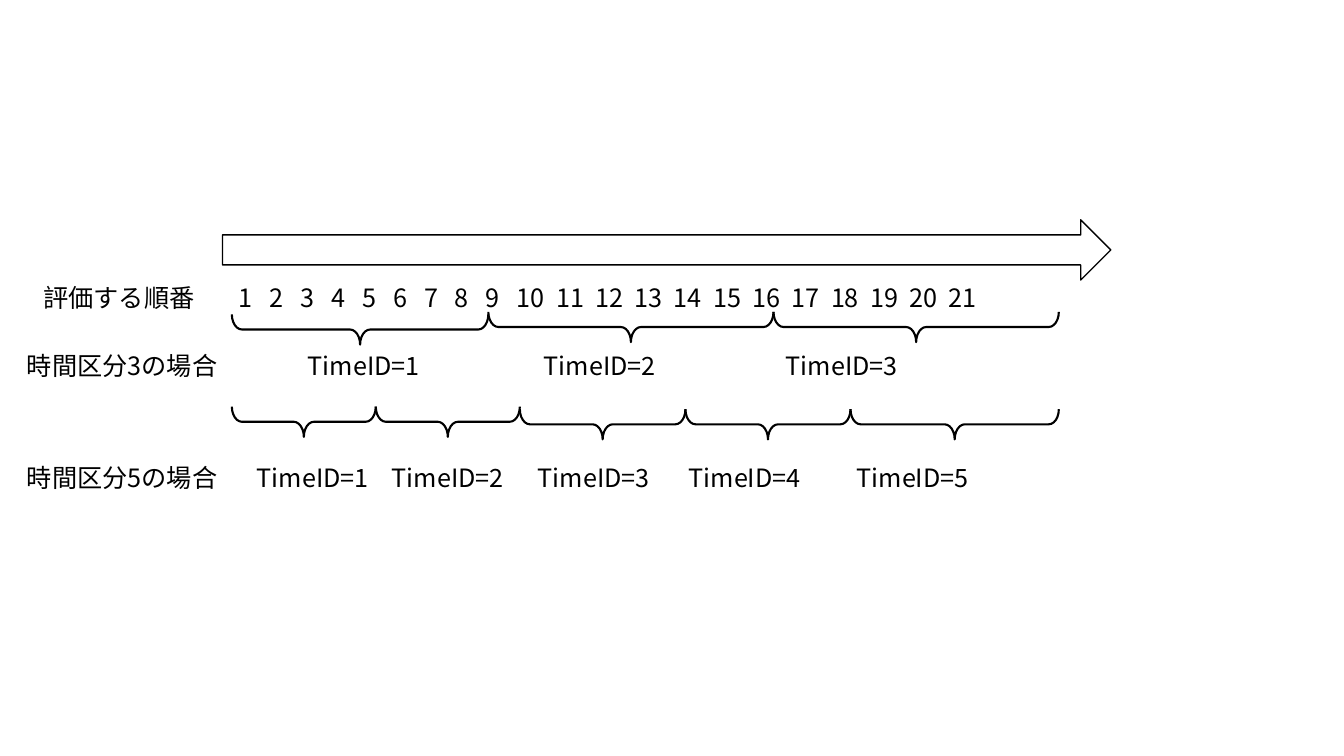
"""Build a slide showing how the evaluation order splits into three or five time sections."""
from itertools import pairwise

from lxml import etree
from pptx import Presentation
from pptx.dml.color import RGBColor
from pptx.enum.shapes import MSO_SHAPE
from pptx.oxml.ns import qn
from pptx.util import Pt

ARROW = MSO_SHAPE.RIGHT_ARROW
BRACE = MSO_SHAPE.RIGHT_BRACE
BLACK = RGBColor(0, 0, 0)
WHITE = RGBColor(255, 255, 255)
FONT = "Noto Sans CJK JP"
INSET = 7.2
DEPTH = 21.6

deck = Presentation()
deck.slide_width, deck.slide_height = Pt(960), Pt(540)
slide = deck.slides.add_slide(deck.slide_layouts[6])


def add_row(text, left, top, width, stops, size=18, color=BLACK):
    box = slide.shapes.add_textbox(Pt(left), Pt(top), Pt(width), Pt(29))
    box.text_frame.word_wrap = True
    para = box.text_frame.paragraphs[0]
    run = para.add_run()
    run.text = text
    run.font.size = Pt(size)
    run.font.name = FONT
    run.font.color.rgb = color
    props = run.font._element
    etree.SubElement(props, qn("a:ea")).set("typeface", FONT)
    tabs = etree.SubElement(para._p.get_or_add_pPr(), qn("a:tabLst"))
    for stop in stops:
        tab = etree.SubElement(tabs, qn("a:tab"))
        tab.set("pos", str(Pt(stop - left - INSET)))
        tab.set("algn", "ctr")


def add_shape(kind, left, top, width, height, weight):
    shape = slide.shapes.add_shape(kind, Pt(left), Pt(top), Pt(width), Pt(height))
    shape.shadow.inherit = False
    shape.line.color.rgb = BLACK
    shape.line.width = Pt(weight)
    return shape


arrow = add_shape(ARROW, 159, 157, 634.5, 43, 1)
arrow.fill.solid()
arrow.fill.fore_color.rgb = WHITE

ones = [175.7 + 22.05 * i for i in range(9)]
tens = [379.3 + 28.05 * i for i in range(12)]
order = [str(n) for n in range(1, 22)]
add_row("\t".join(["評価する順番"] + order), 23.8, 198, 762, ones + tens)

cases = [
    (3, 247, [260, 428.6, 601.4], [165.6, 348.8, 552.5, 756.3], [235.4, 233.6, 233.6]),
    (5, 327, [223.6, 320, 424.3, 532.1, 652.1],
     [165.6, 268.4, 371.3, 489.6, 607.5, 756.3], [301.3, 301.3, 303.1, 303.1, 303.1]),
]
for count, top, stops, edges, mids in cases:
    names = [f"TimeID={n}" for n in range(1, count + 1)]
    add_row("\t".join([f"時間区分{count}の場合"] + names), 12.2, top, 773, stops)
    for (start, end), mid in zip(pairwise(edges), mids):
        span = end - start
        brace = add_shape(BRACE, (start + end - DEPTH) / 2, mid - span / 2, DEPTH, span, 1.5)
        brace.fill.background()
        brace.rotation = 90
        brace.adjustments[0] = 0.333

deck.save("out.pptx")
